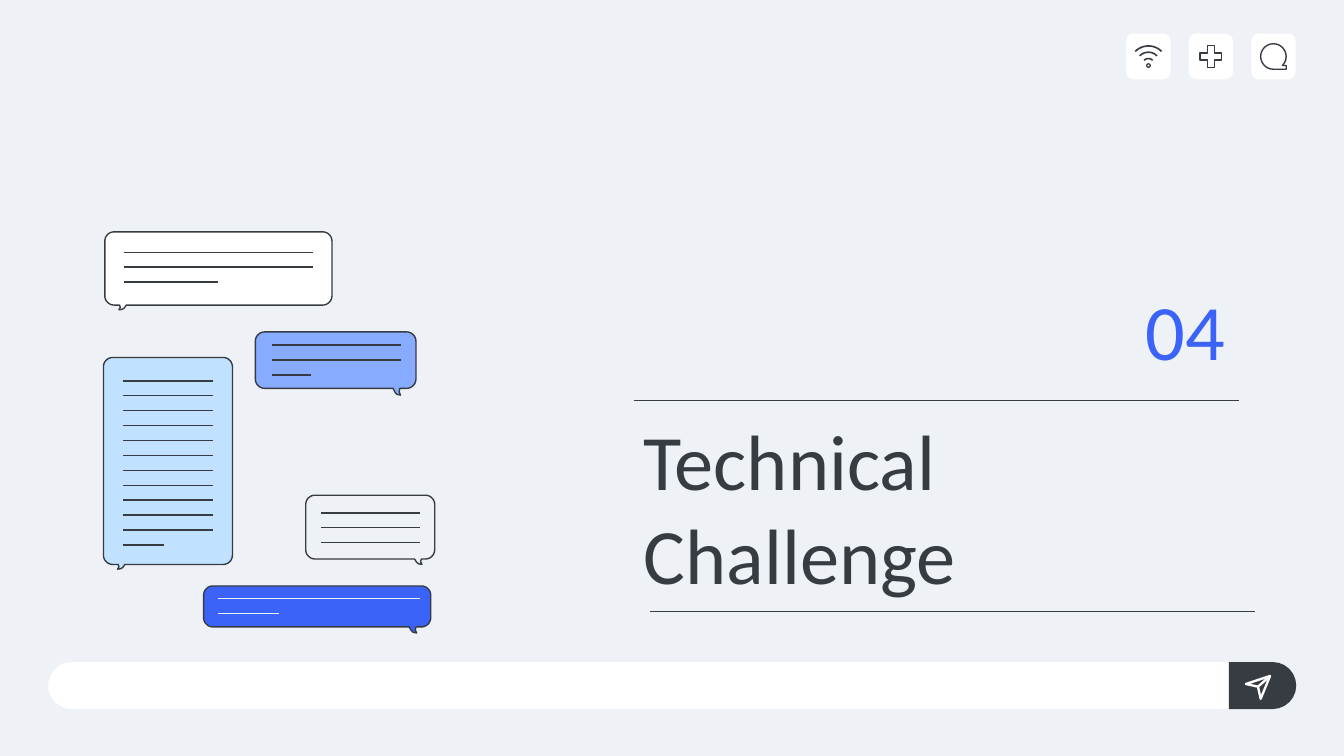
from math import cos, radians, sin

from lxml import etree
from pptx import Presentation
from pptx import util as u
from pptx.dml.color import RGBColor
from pptx.enum import shapes, text
from pptx.oxml.ns import qn

CELL = 0.1  # grid cell in inches
COLUMNS, ROWS = 100, 56.25
COLORS = {
    "back": "EEF1F5", "white": "FFFFFF", "ink": "373B42",
    "blue": "3B63F8", "mid": "87ABFF", "light": "C0E1FF",
}
MSO = shapes.MSO_SHAPE


def g(cells):
    return u.Inches(cells * CELL)


def rgb(name):
    return RGBColor.from_string(COLORS[name])


def arc(cx, cy, r, start, end, steps=12):
    """Points on a circle; degrees run clockwise from the right."""
    angles = [radians(start + (end - start) * i / steps) for i in range(steps + 1)]
    return [(cx + r * cos(a), cy + r * sin(a)) for a in angles]


def write(p, words, size=42, color="ink", font="Calibri", align=text.PP_ALIGN.LEFT):
    p.alignment = align
    r = p.add_run()
    r.text = words
    r.font.size, r.font.name = u.Pt(size), font
    r.font.color.rgb = rgb(color)


class Deck:
    def __init__(self, line_width=0.75):
        self.prs = Presentation()
        self.prs.slide_width, self.prs.slide_height = g(COLUMNS), g(ROWS)
        self.s = self.prs.slides.add_slide(self.prs.slide_layouts[6])
        self.line_width = line_width
        fill = self.s.background.fill
        fill.solid()
        fill.fore_color.rgb = rgb("back")

    def style(self, sp, fill=None, line=None, width=None):
        sp.shadow.inherit = False
        if fill:
            sp.fill.solid()
            sp.fill.fore_color.rgb = rgb(fill)
        else:
            sp.fill.background()
        if line:
            sp.line.color.rgb = rgb(line)
            sp.line.width = u.Pt(width or self.line_width)
        else:
            sp.line.fill.background()

    def shape(self, kind, x, y, w, h, adj=None, **look):
        sp = self.s.shapes.add_shape(kind, g(x), g(y), g(w), g(h))
        if adj is not None:
            sp.adjustments[0] = adj
        self.style(sp, **look)

    def outline(self, points, **look):
        pts = [(g(x), g(y)) for x, y in points]
        builder = self.s.shapes.build_freeform(*pts[0])
        builder.add_line_segments(pts[1:], close=True)
        self.style(builder.convert_to_shape(), **look)

    def line(self, x1, y1, x2, y2, color="ink", width=None):
        c = self.s.shapes.add_connector(
            shapes.MSO_CONNECTOR.STRAIGHT, g(x1), g(y1), g(x2), g(y2))
        c.line.color.rgb = rgb(color)
        c.line.width = u.Pt(width or self.line_width)
        etree.SubElement(c._element.spPr, qn("a:effectLst"))

    def text(self, words, x, y, w, h, anchor, **fmt):
        tf = self.s.shapes.add_textbox(g(x), g(y), g(w), g(h)).text_frame
        tf.word_wrap, tf.vertical_anchor = True, anchor
        tf.margin_left = tf.margin_right = tf.margin_top = tf.margin_bottom = g(1)
        write(tf.paragraphs[0], words, **fmt)

    def bubble(self, x, y, w, h, fill, tail, depth, r=0.7):
        """Rounded box; tail is its offset from the left, or if negative the right."""
        right, bottom = x + w, y + h
        step = 0.5 if tail > 0 else -0.5
        root = (x if tail > 0 else right) + tail
        hook = [(root + step, bottom), (root + step * 0.7, bottom + depth * 0.6),
                (root + step * 0.4, bottom + depth * 0.9),
                (root - step * 0.1, bottom + depth),
                (root + step * 0.1, bottom + depth * 0.5), (root, bottom)]
        if tail < 0:
            hook.reverse()
        self.outline(
            arc(x + r, y + r, r, 180, 270) + arc(right - r, y + r, r, 270, 360)
            + arc(right - r, bottom - r, r, 0, 90) + hook
            + arc(x + r, bottom - r, r, 90, 180), fill=fill, line="ink")

    def rules(self, x, y, w, count, last, color="ink", gap=1.11):
        for i in range(count):
            end = x + (last if i == count - 1 else w)
            self.line(x, y + i * gap, end, y + i * gap, color)


def main():
    d = Deck()

    # Icon tiles, top right
    for i in range(3):
        d.shape(MSO.ROUNDED_RECTANGLE, 83.8 + i * 4.65, 2.5, 3.3, 3.4, 0.167, fill="white")
    d.shape(MSO.MATH_PLUS, 89, 3.1, 2.2, 2.2, 0.235, line="ink")
    d.shape(MSO.FLOWCHART_SEQUENTIAL_ACCESS_STORAGE, 93.8, 3.25, 1.9, 1.9, line="ink")
    for r in (0.5, 0.97, 1.44):
        d.outline(arc(85.45, 4.8, r, 225, 315) + arc(85.45, 4.8, r - 0.12, 315, 225),
                  fill="ink")
    d.shape(MSO.DONUT, 85.27, 4.7, 0.36, 0.36, 0.28, fill="ink")

    # Message bar with send button
    d.shape(MSO.ROUNDED_RECTANGLE, 3.6, 49.26, 92.85, 3.5, 0.5, fill="white")
    d.outline([(91.43, 52.76), (91.43, 49.26)] + arc(94.7, 51.01, 1.75, -90, 90), fill="ink")
    d.outline([(92.7, 50.9), (94.5, 50.3), (93.8, 52), (93.6, 51.1)],
              line="white", width=1.25)
    d.line(93.6, 51.1, 94.5, 50.3, "white", 1.25)

    # Section title and number
    d.text("Technical Challenge", 46.9, 32, 47.9, 11.3, text.MSO_ANCHOR.MIDDLE)
    d.text("04", 78.7, 19.8, 13.45, 9.2, text.MSO_ANCHOR.BOTTOM,
           color="blue", align=text.PP_ALIGN.RIGHT)

    # Chat bubbles: box, fill, tail; then text rules: x, y, width, count, last width
    bubbles = [
        ((7.8, 17.25, 16.9, 5.45, "white", 1.1, 0.35), (9.2, 18.77, 14.1, 3, 7)),
        ((7.7, 26.6, 9.6, 15.4, "light", 1.1, 0.35), (9.17, 28.34, 6.65, 12, 3.05)),
        ((15.15, 43.6, 16.9, 3.05, "blue", -1.1, 0.45),
         (16.22, 44.55, 15, 2, 4.55, "back")),
        ((22.75, 36.85, 9.6, 4.75, "back", -1, 0.4), (23.9, 38.16, 7.33, 3, 7.33)),
        ((19, 24.7, 11.95, 4.2, "mid", -1.2, 0.5), (20.25, 25.67, 9.6, 3, 2.9)),
    ]
    for box, rules in bubbles:
        d.bubble(*box)
        d.rules(*rules)

    # Lines around the title
    d.line(48.35, 45.5, 93.4, 45.5)
    d.line(47.15, 29.8, 92.2, 29.8)

    d.prs.save("out.pptx")


if __name__ == "__main__":
    main()
